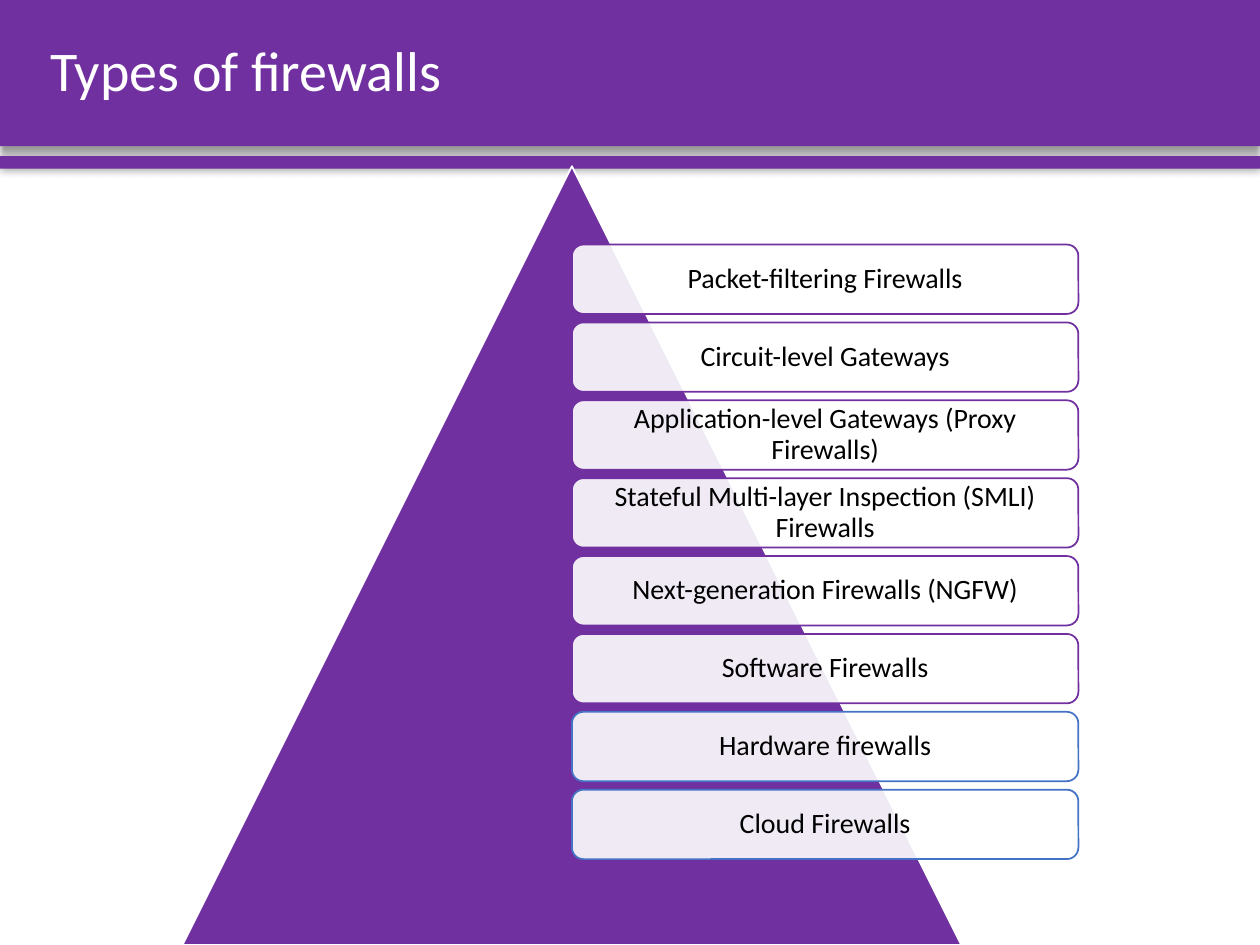
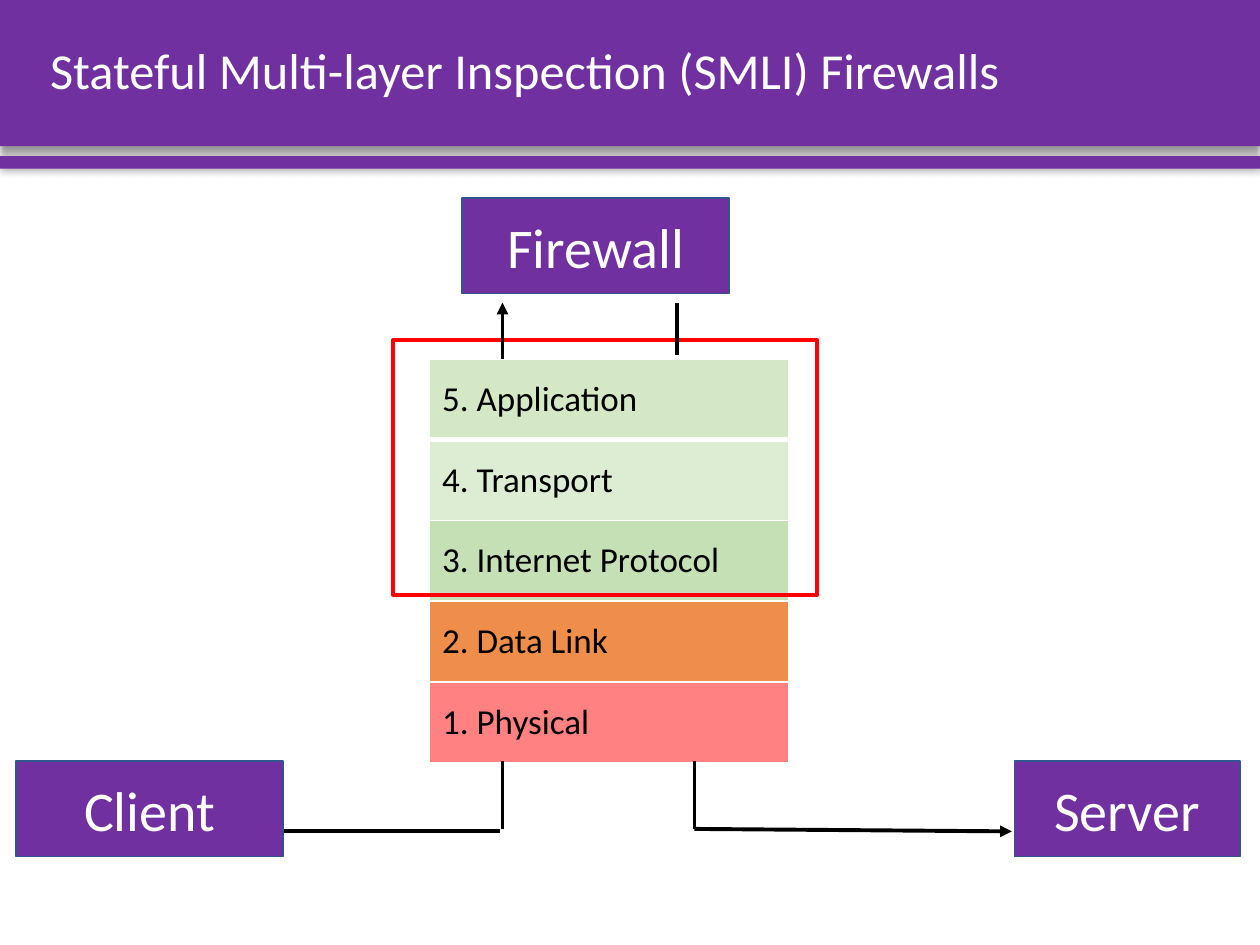
from dataclasses import dataclass
from typing import NamedTuple, Optional

from lxml.etree import SubElement
from pptx import Presentation
from pptx.dml.color import RGBColor
from pptx.enum.shapes import MSO_CONNECTOR, MSO_SHAPE
from pptx.enum.text import MSO_ANCHOR, PP_ALIGN
from pptx.oxml.ns import qn
from pptx.util import Cm, Pt


@dataclass(frozen=True)
class Theme:
    font: str = "Calibri"
    purple: str = "7030A0"
    blue: str = "4472C4"
    box_edge: str = "325491"
    highlight: str = "FF0000"
    white: str = "FFFFFF"
    black: str = "000000"
    title_size: float = 32
    long_title_size: float = 28.8
    node_size: float = 32
    layer_size: float = 20
    type_size: float = 16
    thin: float = 1
    thick: float = 2.25


THEME = Theme()
SLIDE_W, SLIDE_H = 25.4, 19.05


class Box(NamedTuple):
    """A rectangle in centimetres."""
    left: float
    top: float
    width: float
    height: float

    def lengths(self) -> list:
        return [Cm(v) for v in self]


class Band(NamedTuple):
    box: Box
    blur: float
    distance: float
    angle: int


class FirewallType(NamedTuple):
    name: str
    edge: str = THEME.purple


class Layer(NamedTuple):
    name: str
    fill: str


class Node(NamedTuple):
    name: str
    box: Box


class Link(NamedTuple):
    x1: float
    y1: float
    x2: float
    y2: float
    arrow: bool = False


BANDS = [
    Band(Box(0, 0, SLIDE_W, 2.95), blur=4, distance=3, angle=90),
    Band(Box(0, 3.15, SLIDE_W, 0.25), blur=5, distance=0, angle=0),
]
TITLE_BOX = Box(0.76, 0, 24.03, 2.95)

PYRAMID = Box(3.68, 3.35, 15.7, 15.7)
FIRST_TYPE = Box(11.53, 4.93, 10.21, 1.4)
TYPE_PITCH = 1.57
FIREWALL_TYPES = [
    FirewallType("Packet-filtering Firewalls"),
    FirewallType("Circuit-level Gateways"),
    FirewallType("Application-level Gateways (Proxy Firewalls)"),
    FirewallType("Stateful Multi-layer Inspection (SMLI) Firewalls"),
    FirewallType("Next-generation Firewalls (NGFW)"),
    FirewallType("Software Firewalls"),
    FirewallType("Hardware firewalls", THEME.blue),
    FirewallType("Cloud Firewalls", THEME.blue),
]

STACK = Box(8.66, 7.24, 7.24, 8.13)
LAYERS = [
    Layer("5. Application", "D4E8C6"),
    Layer("4. Transport", "DDEDD3"),
    Layer("3. Internet Protocol", "C5E0B4"),
    Layer("2. Data Link", "EF8D4B"),
    Layer("1. Physical", "FF8181"),
]
INSPECTED_LAYERS = Box(7.92, 6.86, 8.56, 5.13)
NODES = [
    Node("Client", Box(0.33, 15.34, 5.38, 1.93)),
    Node("Server", Box(20.45, 15.34, 4.55, 1.93)),
    Node("Firewall", Box(9.32, 3.99, 5.38, 1.93)),
]
LINKS = [
    Link(3.33, 16.76, 10.08, 16.76),
    Link(10.13, 16.71, 10.13, 15.34),
    Link(14, 16.71, 14, 15.34),
    Link(14, 16.71, 20.4, 16.76, arrow=True),
    Link(10.13, 7.24, 10.13, 6.1, arrow=True),
    Link(13.64, 7.16, 13.64, 6.1),
]


def rgb(color: str) -> RGBColor:
    return RGBColor.from_string(color)


def write(tf, text: str, size: float, color: str, align=PP_ALIGN.LEFT, spacing: float = 1.0) -> None:
    tf.text = text
    p = tf.paragraphs[0]
    p.alignment, p.line_spacing = align, spacing
    font = p.runs[0].font
    font.name, font.size, font.color.rgb = THEME.font, Pt(size), rgb(color)


def add_box(s, kind, box: Box, fill: Optional[str] = None,
            edge: Optional[str] = None, weight: float = THEME.thin):
    sp = s.shapes.add_shape(kind, *box.lengths())
    sp.shadow.inherit = False
    if fill:
        sp.fill.solid()
        sp.fill.fore_color.rgb = rgb(fill)
    else:
        sp.fill.background()
    if edge:
        sp.line.color.rgb = rgb(edge)
        sp.line.width = Pt(weight)
    else:
        sp.line.fill.background()
    return sp


def set_alpha(color_element, percent: int) -> None:
    SubElement(color_element, qn("a:alpha"), val=str(percent * 1000))


def add_band(s, band: Band) -> None:
    sp = add_box(s, MSO_SHAPE.RECTANGLE, band.box, THEME.purple)
    effects = sp.element.spPr.find(qn("a:effectLst"))
    shadow = SubElement(effects, qn("a:outerShdw"), blurRad=str(Pt(band.blur)),
                        dist=str(Pt(band.distance)), dir=str(band.angle * 60000),
                        algn="t", rotWithShape="0")
    set_alpha(SubElement(shadow, qn("a:srgbClr"), val=THEME.black), 40)


def add_titled_slide(prs, title: str, size: float):
    s = prs.slides.add_slide(prs.slide_layouts[6])
    for band in BANDS:
        add_band(s, band)
    tf = s.shapes.add_textbox(*TITLE_BOX.lengths()).text_frame
    tf.word_wrap = True
    tf.vertical_anchor = MSO_ANCHOR.MIDDLE
    write(tf, title, size, THEME.white, spacing=0.9)
    return s


def add_firewall_type(s, kind: FirewallType, box: Box) -> None:
    sp = add_box(s, MSO_SHAPE.ROUNDED_RECTANGLE, box, THEME.white, kind.edge)
    set_alpha(sp.element.spPr.find(qn("a:solidFill"))[0], 90)
    tf = sp.text_frame
    tf.word_wrap = True
    tf.vertical_anchor = MSO_ANCHOR.MIDDLE
    tf.margin_left = tf.margin_right = tf.margin_top = tf.margin_bottom = Cm(0.18)
    write(tf, kind.name, THEME.type_size, THEME.black, PP_ALIGN.CENTER, 0.9)


def add_node(s, node: Node) -> None:
    sp = add_box(s, MSO_SHAPE.RECTANGLE, node.box, THEME.purple, THEME.box_edge)
    sp.text_frame.vertical_anchor = MSO_ANCHOR.MIDDLE
    write(sp.text_frame, node.name, THEME.node_size, THEME.white, PP_ALIGN.CENTER)


def add_link(s, link: Link) -> None:
    ends = [Cm(v) for v in (link.x1, link.y1, link.x2, link.y2)]
    cxn = s.shapes.add_connector(MSO_CONNECTOR.STRAIGHT, *ends)
    cxn.line.color.rgb = rgb(THEME.black)
    cxn.line.width = Pt(THEME.thick)
    if link.arrow:
        SubElement(cxn.line._get_or_add_ln(), qn("a:tailEnd"), type="triangle")
    SubElement(cxn._element.spPr, qn("a:effectLst"))


def set_borders(cell, top: float, bottom: float) -> None:
    """Draw white cell borders; call before the cell gets its fill."""
    tc_pr = cell._tc.get_or_add_tcPr()
    sides = {"L": THEME.thin, "R": THEME.thin, "T": top, "B": bottom}
    for side, weight in sides.items():
        ln = SubElement(tc_pr, qn(f"a:ln{side}"), w=str(Pt(weight)))
        SubElement(SubElement(ln, qn("a:solidFill")), qn("a:srgbClr"), val=THEME.white)


def add_layer_stack(s) -> None:
    table = s.shapes.add_table(len(LAYERS), 1, *STACK.lengths()).table
    table.first_row = table.horz_banding = False
    for i, layer in enumerate(LAYERS):
        cell = table.cell(i, 0)
        set_borders(cell, top=3 if i == 1 else 1, bottom=3 if i == 0 else 1)
        cell.fill.solid()
        cell.fill.fore_color.rgb = rgb(layer.fill)
        cell.vertical_anchor = MSO_ANCHOR.MIDDLE
        write(cell.text_frame, layer.name, THEME.layer_size, THEME.black)


def build_types_slide(prs) -> None:
    s = add_titled_slide(prs, "Types of firewalls", THEME.title_size)
    add_box(s, MSO_SHAPE.ISOSCELES_TRIANGLE, PYRAMID, THEME.purple, THEME.white)
    for i, kind in enumerate(FIREWALL_TYPES):
        add_firewall_type(s, kind, FIRST_TYPE._replace(top=FIRST_TYPE.top + i * TYPE_PITCH))


def build_smli_slide(prs) -> None:
    s = add_titled_slide(prs, "Stateful Multi-layer Inspection (SMLI) Firewalls",
                         THEME.long_title_size)
    add_layer_stack(s)
    add_box(s, MSO_SHAPE.RECTANGLE, INSPECTED_LAYERS, edge=THEME.highlight, weight=THEME.thick)
    for link in LINKS:
        add_link(s, link)
    for node in NODES:
        add_node(s, node)


def main() -> None:
    prs = Presentation()
    prs.slide_width, prs.slide_height = Cm(SLIDE_W), Cm(SLIDE_H)
    build_types_slide(prs)
    build_smli_slide(prs)
    prs.save("out.pptx")


if __name__ == "__main__":
    main()
